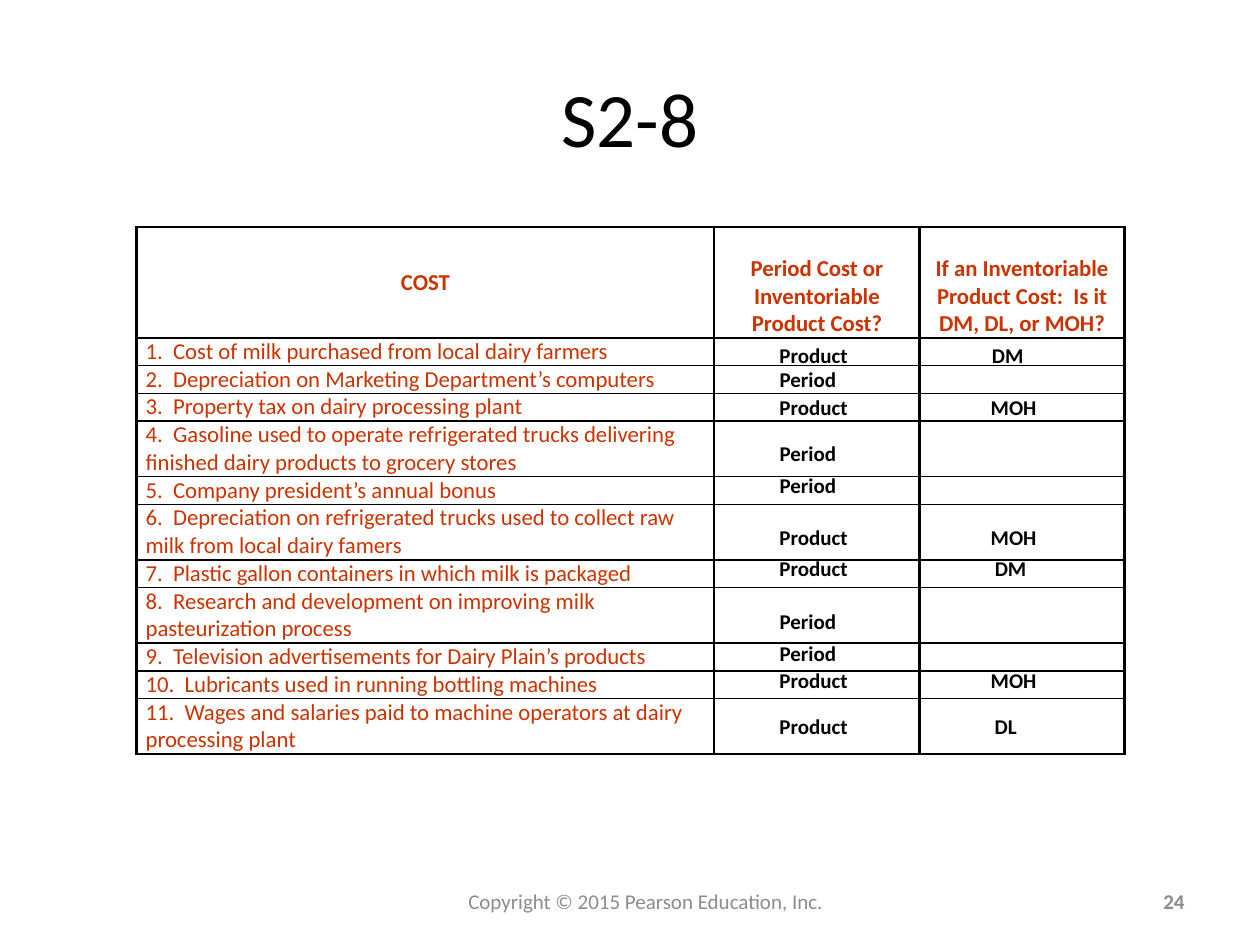
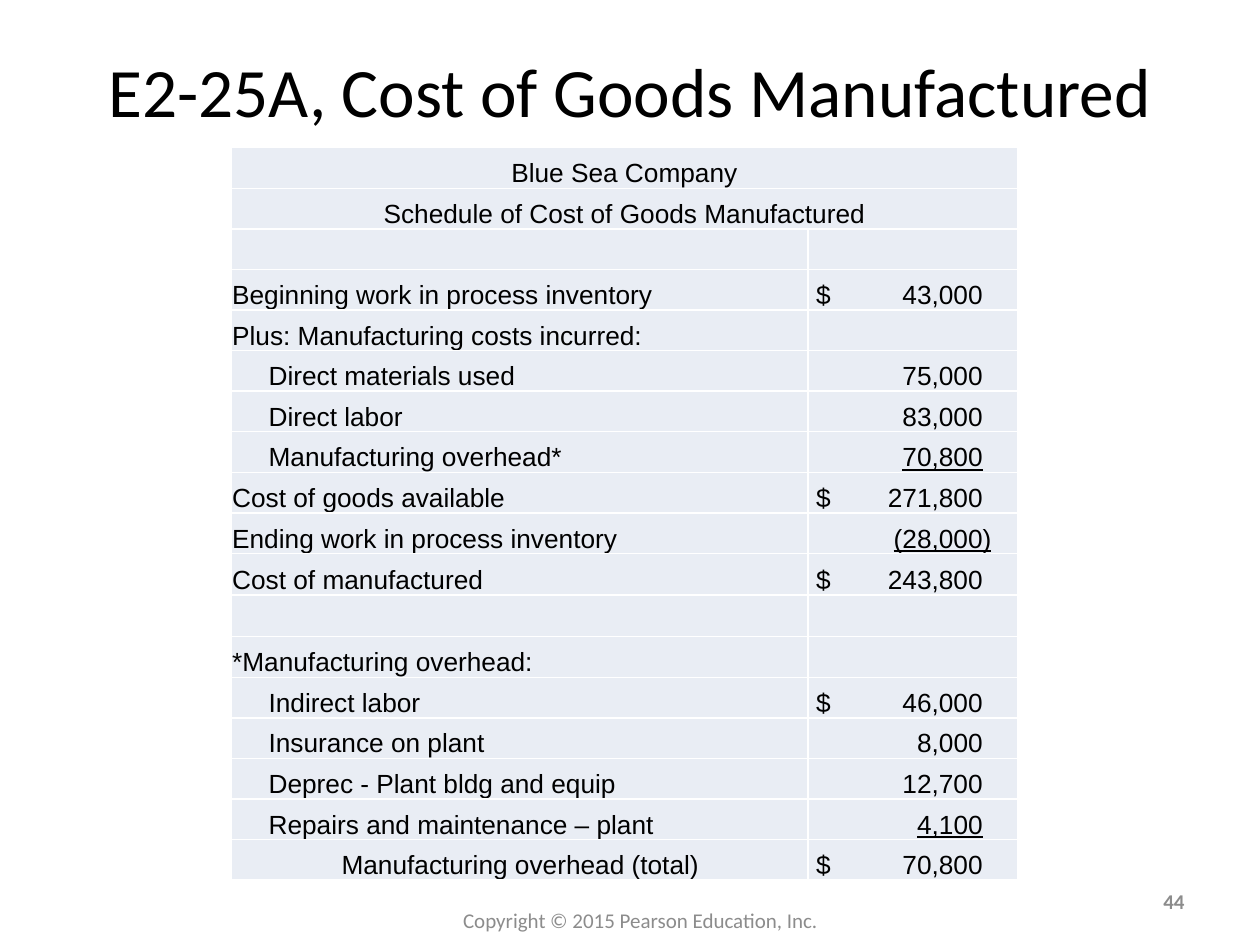
from lxml import etree
from pptx import Presentation
from pptx.dml.color import RGBColor
from pptx.enum.text import MSO_ANCHOR, PP_ALIGN
from pptx.oxml.ns import qn
from pptx.util import Pt

LEFT, CENTER, RIGHT = PP_ALIGN.LEFT, PP_ALIGN.CENTER, PP_ALIGN.RIGHT
TOP, MIDDLE, BOTTOM = MSO_ANCHOR.TOP, MSO_ANCHOR.MIDDLE, MSO_ANCHOR.BOTTOM
BLACK, GRAY, RUST, PALE, WHITE = "000000", "8C8C8C", "CC3300", "E9EDF4", "FFFFFF"

TITLE = {"name": "Calibri", "size": Pt(44), "color": BLACK}
LONG_TITLE = {**TITLE, "size": Pt(39.6)}
FOOTER = {"name": "Calibri", "size": Pt(12), "color": GRAY}
PAGE_NUMBER = {**FOOTER, "bold": True}
ANSWER = {"name": "Calibri", "size": Pt(12), "color": BLACK, "bold": True}
COST = {"name": "Calibri", "size": Pt(13), "color": RUST, "bold": False}
COST_HEADER = {**COST, "bold": True}
SCHEDULE = {"name": "Arial", "size": Pt(15), "color": BLACK, "bold": False}
UNDERLINED = {**SCHEDULE, "underline": True}

COST_MARGINS = {"margin_left": Pt(5.2), "margin_right": Pt(5.2),
                "margin_top": Pt(0), "margin_bottom": Pt(0)}
SCHEDULE_MARGINS = {"margin_left": Pt(0.7), "margin_right": Pt(0.7),
                    "margin_top": Pt(0.7), "margin_bottom": Pt(0)}

COST_LINE = 15.87
ANSWER_LEFT = 437.9
ANSWER_WIDTHS = {"Period": 47.5, "Product": 54, "DM": 33, "MOH": 41, "DL": 27.4}
COST_HEADERS = [("COST", MIDDLE), ("Period Cost or Inventoriable Product Cost?", BOTTOM),
                ("If an Inventoriable Product Cost:  Is it DM, DL, or MOH?", BOTTOM)]
COSTS = [
    ("Cost of milk purchased from local dairy farmers", 1, 192.2, "Product", ("DM", 559.4)),
    ("Depreciation on Marketing Department’s computers", 1, 206, "Period", None),
    ("Property tax on dairy processing plant", 1, 221.8, "Product", ("MOH", 558.7)),
    ("Gasoline used to operate refrigerated trucks delivering finished dairy products "
     "to grocery stores", 2, 248.4, "Period", None),
    ("Company president’s annual bonus", 1, 266.4, "Period", None),
    ("Depreciation on refrigerated trucks used to collect raw milk from local dairy famers",
     2, 296, "Product", ("MOH", 558.7)),
    ("Plastic gallon containers in which milk is packaged", 1, 314, "Product", ("DM", 561)),
    ("Research and development on improving milk pasteurization process",
     2, 344.2, "Period", None),
    ("Television advertisements for Dairy Plain’s products", 1, 362.2, "Period", None),
    ("Lubricants used in running bottling machines", 1, 378, "Product", ("MOH", 558.7)),
    ("Wages and salaries paid to machine operators at dairy processing plant",
     2, 404, "Product", ("DL", 561)),
]

ITEM_INDENT, TOTAL_INDENT = 20.8, 62.5
AMOUNT_STOP, PARENTHESIS_WIDTH = 99.3, 5
SCHEDULE_HEADINGS = ["Blue Sea Company", "Schedule of Cost of Goods Manufactured"]
SCHEDULE_ROWS = [
    ("", 0, "", "", False),
    ("Beginning work in process inventory", 0, " $", "43,000", False),
    ("Plus: Manufacturing costs incurred:", 0, "", "", False),
    ("Direct materials used", ITEM_INDENT, "", "75,000", False),
    ("Direct labor", ITEM_INDENT, "", "83,000", False),
    ("Manufacturing overhead*", ITEM_INDENT, "", "70,800", True),
    ("Cost of goods available", 0, " $", "271,800", False),
    ("Ending work in process inventory", 0, "", "(28,000)", True),
    ("Cost of manufactured", 0, " $", "243,800", False),
    ("", 0, "", "", False),
    ("*Manufacturing overhead:", 0, "", "", False),
    ("Indirect labor", ITEM_INDENT, " $", "46,000", False),
    ("Insurance on plant", ITEM_INDENT, "", "8,000", False),
    ("Deprec - Plant bldg and equip", ITEM_INDENT, "", "12,700", False),
    ("Repairs and maintenance – plant", ITEM_INDENT, "", "4,100", True),
    ("Manufacturing overhead (total)", TOTAL_INDENT, " $", "70,800", False),
]


def color(code):
    """Turn a hex string into a colour."""
    return RGBColor.from_string(code)


def apply_format(target, values):
    """Set attributes from a dict of format values."""
    for name, value in values.items():
        if name == "color":
            target.color.rgb = color(value)
        else:
            setattr(target, name, value)


def write(frame, text, font, align=LEFT, indent=0, stop=None):
    """Write one paragraph, with an optional indent and right tab stop."""
    paragraph = frame.paragraphs[0]
    paragraph.alignment = align
    properties = paragraph._p.get_or_add_pPr()
    if indent:
        properties.set("marL", str(Pt(indent)))
    if stop:
        stops = etree.SubElement(properties, qn("a:tabLst"))
        etree.SubElement(stops, qn("a:tab"), pos=str(Pt(stop)), algn="r")
    if text:
        span = paragraph.add_run()
        span.text = text
        apply_format(span.font, font)
    else:
        paragraph._p.get_or_add_endParaRPr().set("sz", str(int(font["size"].pt * 100)))


def add_text(page, text, left, top, width, height, font, align=CENTER, anchor=MIDDLE, wrap=True):
    """Add a text box with a single paragraph."""
    box = page.shapes.add_textbox(Pt(left), Pt(top), Pt(width), Pt(height))
    apply_format(box.text_frame, {"word_wrap": wrap, "vertical_anchor": anchor})
    write(box.text_frame, text, font, align)


def add_page(deck, title, title_top, title_font, number, footer_left, footer_top):
    """Add a page with its title, copyright line and number."""
    page = deck.slides.add_slide(deck.slide_layouts[6])
    add_text(page, title, 36, title_top, 648, 90, title_font)
    add_text(page, "Copyright © 2015 Pearson Education, Inc.",
             footer_left, footer_top, 246, 28.8, FOOTER)
    add_text(page, number, 516, 500.4, 168, 28.8, PAGE_NUMBER, RIGHT)
    return page


def add_grid(page, left, top, widths, heights):
    """Add a table without banding and return it."""
    frame = page.shapes.add_table(len(heights), len(widths), Pt(left), Pt(top),
                                  Pt(sum(widths)), Pt(sum(heights)))
    grid = frame.table
    apply_format(grid, {"first_row": False, "horz_banding": False})
    for column, width in zip(grid.columns, widths):
        column.width = Pt(width)
    for row, height in zip(grid.rows, heights):
        row.height = Pt(height)
    return grid


def style_cell(cell, margins, anchor, line_color, line_widths, fill=None):
    """Set margins, anchor, borders (left, right, top, bottom) and fill of a cell."""
    apply_format(cell, {**margins, "vertical_anchor": anchor})
    properties = cell._tc.get_or_add_tcPr()
    for side, width in zip("LRTB", line_widths):
        line = etree.SubElement(properties, qn(f"a:ln{side}"), w=str(Pt(width)))
        solid = etree.SubElement(line, qn("a:solidFill"))
        etree.SubElement(solid, qn("a:srgbClr"), val=line_color)
    if fill:
        cell.fill.solid()
        cell.fill.fore_color.rgb = color(fill)
    else:
        cell.fill.background()


def add_cost_table(page):
    """Add the table of costs to classify."""
    heights = [4 * COST_LINE] + [lines * COST_LINE for _, lines, *_ in COSTS]
    grid = add_grid(page, 78, 129.6, [330.2, 117.2, 117.2], heights)
    for column, (text, anchor) in enumerate(COST_HEADERS):
        cell = grid.cell(0, column)
        style_cell(cell, COST_MARGINS, anchor, BLACK, [1.5] * 4)
        write(cell.text_frame, text, COST_HEADER, CENTER)
    for number, (label, *_) in enumerate(COSTS, 1):
        above = 1.5 if number == 1 else 1
        below = 1.5 if number == len(COSTS) else 1
        for column, text in enumerate([f"{number}.  {label}", "", ""]):
            cell = grid.cell(number, column)
            style_cell(cell, COST_MARGINS, TOP, BLACK, [1.5, 1.5, above, below])
            write(cell.text_frame, text, COST)


def add_answer(page, text, left, top):
    """Add one answer over the cost table."""
    add_text(page, text, left, top, ANSWER_WIDTHS[text], 21.8, ANSWER, anchor=TOP, wrap=False)


def add_schedule(page):
    """Add the schedule of cost of goods manufactured."""
    heights = [23.2] * (len(SCHEDULE_HEADINGS) + len(SCHEDULE_ROWS))
    heights[10:12] = [23.8, 23.8]
    grid = add_grid(page, 132, 84.4, [329.6, 120], heights)
    for row in range(len(heights)):
        for column in range(2):
            style_cell(grid.cell(row, column), SCHEDULE_MARGINS, BOTTOM, WHITE, [1] * 4, PALE)
    for row, heading in enumerate(SCHEDULE_HEADINGS):
        grid.cell(row, 0).merge(grid.cell(row, 1))
        write(grid.cell(row, 0).text_frame, heading, SCHEDULE, CENTER)
    for row, (label, indent, sign, amount, underlined) in enumerate(
            SCHEDULE_ROWS, len(SCHEDULE_HEADINGS)):
        write(grid.cell(row, 0).text_frame, label, SCHEDULE, indent=indent)
        stop = AMOUNT_STOP + (PARENTHESIS_WIDTH if amount.endswith(")") else 0)
        write(grid.cell(row, 1).text_frame, f"{sign}\t{amount}" if amount else "",
              UNDERLINED if underlined else SCHEDULE, stop=stop)


def main():
    """Build and save the deck."""
    deck = Presentation()
    apply_format(deck, {"slide_width": Pt(720), "slide_height": Pt(540)})

    page = add_page(deck, "S2-8", 21.6, TITLE, "24", 246, 500.4)
    add_cost_table(page)
    for _, _, top, answer, component in COSTS:
        add_answer(page, answer, ANSWER_LEFT, top)
        if component:
            add_answer(page, *component, top)

    page = add_page(deck, "E2-25A, Cost of Goods Manufactured", 6, LONG_TITLE, "44", 243, 511.2)
    add_schedule(page)
    deck.save("out.pptx")


if __name__ == "__main__":
    main()
